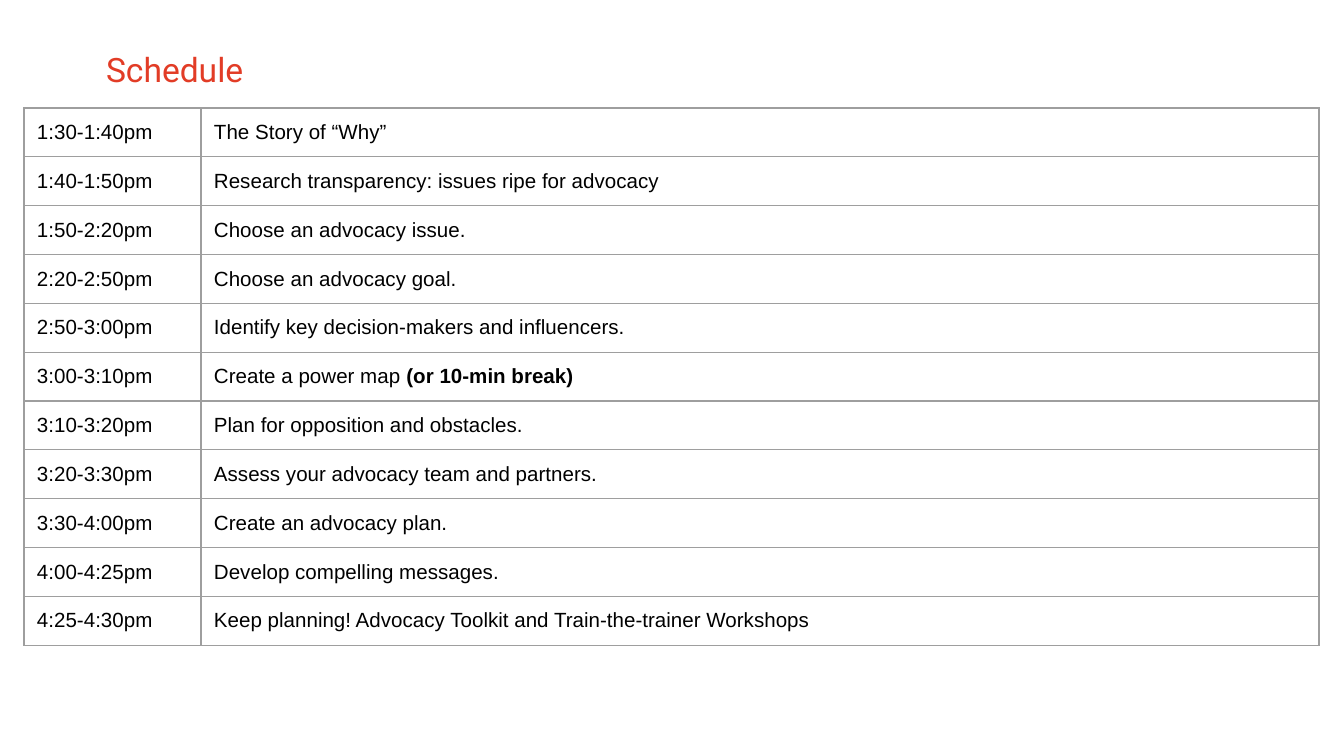
from dataclasses import dataclass

from lxml import etree
from pptx import Presentation
from pptx import util as u
from pptx.dml.color import RGBColor
from pptx.enum import text
from pptx.oxml import ns

EMU_PER_PX = 914400 / 134.4


def px(length):
    return u.Emu(round(length * EMU_PER_PX))


@dataclass(frozen=True)
class Theme:
    title_font: str = "Roboto"
    body_font: str = "Arial"
    title_size: int = 18
    body_size: int = 11
    title_color: str = "E23C26"
    body_color: str = "000000"
    border_color: str = "9E9E9E"
    border_width: float = 0.75
    inset: int = 13


class SlideBuilder:
    def __init__(self, slide, theme):
        self.slide = slide
        self.theme = theme

    def add_run(self, paragraph, words, font, size, color, bold=False):
        run = paragraph.add_run()
        run.text = words
        run.font.name = font
        run.font.size = u.Pt(size)
        run.font.bold = bold
        run.font.color.rgb = RGBColor.from_string(color)

    def set_insets(self, holder):
        holder.margin_left = holder.margin_right = px(self.theme.inset)
        holder.margin_top = holder.margin_bottom = px(self.theme.inset)

    def title(self, words, left, top, width, height):
        shape = self.slide.shapes.title
        shape.left, shape.top = px(left), px(top)
        shape.width, shape.height = px(width), px(height)
        frame = shape.text_frame
        frame.word_wrap = True
        frame.auto_size = text.MSO_AUTO_SIZE.NONE
        frame.vertical_anchor = text.MSO_ANCHOR.TOP
        self.set_insets(frame)
        paragraph = frame.paragraphs[0]
        paragraph.alignment = text.PP_ALIGN.LEFT
        paragraph.line_spacing = 0.9
        theme = self.theme
        self.add_run(paragraph, words, theme.title_font, theme.title_size, theme.title_color)

    def set_borders(self, cell):
        properties = cell._tc.get_or_add_tcPr()
        for position, side in enumerate(("lnL", "lnR", "lnT", "lnB")):
            line = etree.Element(ns.qn(f"a:{side}"), w=str(u.Pt(self.theme.border_width)))
            fill = etree.SubElement(line, ns.qn("a:solidFill"))
            etree.SubElement(fill, ns.qn("a:srgbClr"), val=self.theme.border_color)
            properties.insert(position, line)

    def cell(self, cell, runs, anchor):
        cell.fill.background()
        cell.vertical_anchor = anchor
        self.set_insets(cell)
        self.set_borders(cell)
        paragraph = cell.text_frame.paragraphs[0]
        theme = self.theme
        for words, bold in runs:
            self.add_run(paragraph, words, theme.body_font, theme.body_size, theme.body_color, bold)

    def table(self, rows, left, top, column_widths, row_heights, anchors):
        frame = self.slide.shapes.add_table(
            len(rows), len(column_widths), px(left), px(top),
            px(sum(column_widths)), px(sum(row_heights)))
        table = frame.table
        table.first_row = table.horz_banding = False
        for column, width in zip(table.columns, column_widths):
            column.width = px(width)
        for row, height, anchor, contents in zip(table.rows, row_heights, anchors, rows):
            row.height = px(height)
            for cell, runs in zip(row.cells, contents):
                self.cell(cell, runs, anchor)


# Agenda: time, activity, and an optional bold remark
AGENDA = [
    ("1:30-1:40pm", "The Story of “Why”"),
    ("1:40-1:50pm", "Research transparency: issues ripe for advocacy"),
    ("1:50-2:20pm", "Choose an advocacy issue."),
    ("2:20-2:50pm", "Choose an advocacy goal."),
    ("2:50-3:00pm", "Identify key decision-makers and influencers."),
    ("3:00-3:10pm", "Create a power map ", "(or 10-min break)"),
    ("3:10-3:20pm", "Plan for opposition and obstacles."),
    ("3:20-3:30pm", "Assess your advocacy team and partners."),
    ("3:30-4:00pm", "Create an advocacy plan."),
    ("4:00-4:25pm", "Develop compelling messages."),
    ("4:25-4:30pm", "Keep planning! Advocacy Toolkit and Train-the-trainer Workshops"),
]


def main():
    presentation = Presentation()
    presentation.slide_width, presentation.slide_height = px(1344), px(756)
    slide = presentation.slides.add_slide(presentation.slide_layouts[5])
    builder = SlideBuilder(slide, Theme())

    # Heading
    builder.title("Schedule", 93, 40, 1083, 144)

    # Schedule table
    rows = [
        ([(time, False)], [(activity, False)] + [(remark, True) for remark in remarks])
        for time, activity, *remarks in AGENDA
    ]
    builder.table(
        rows, 24, 108,
        column_widths=[177, 1118],
        row_heights=[48] * 5 + [43] * 6,
        anchors=[text.MSO_ANCHOR.TOP] * 6 + [text.MSO_ANCHOR.MIDDLE] * 5)

    presentation.save("out.pptx")


if __name__ == "__main__":
    main()
